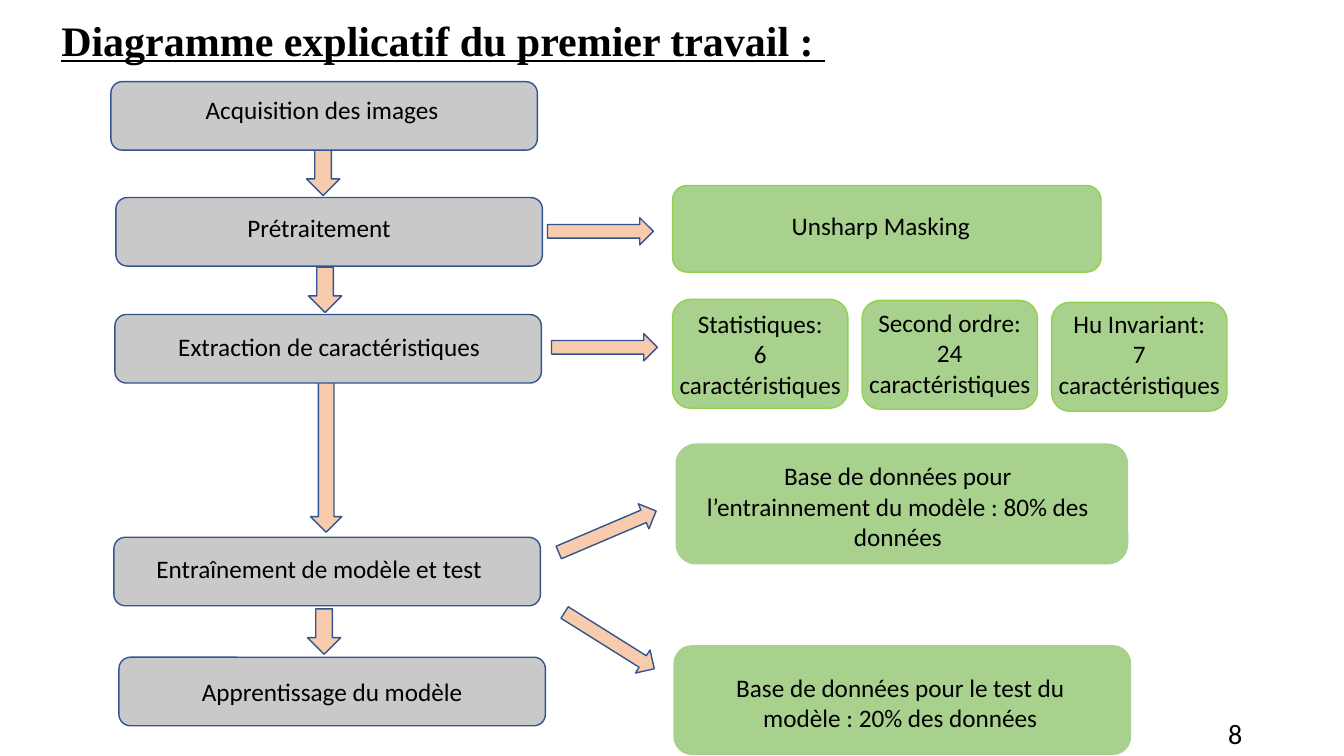
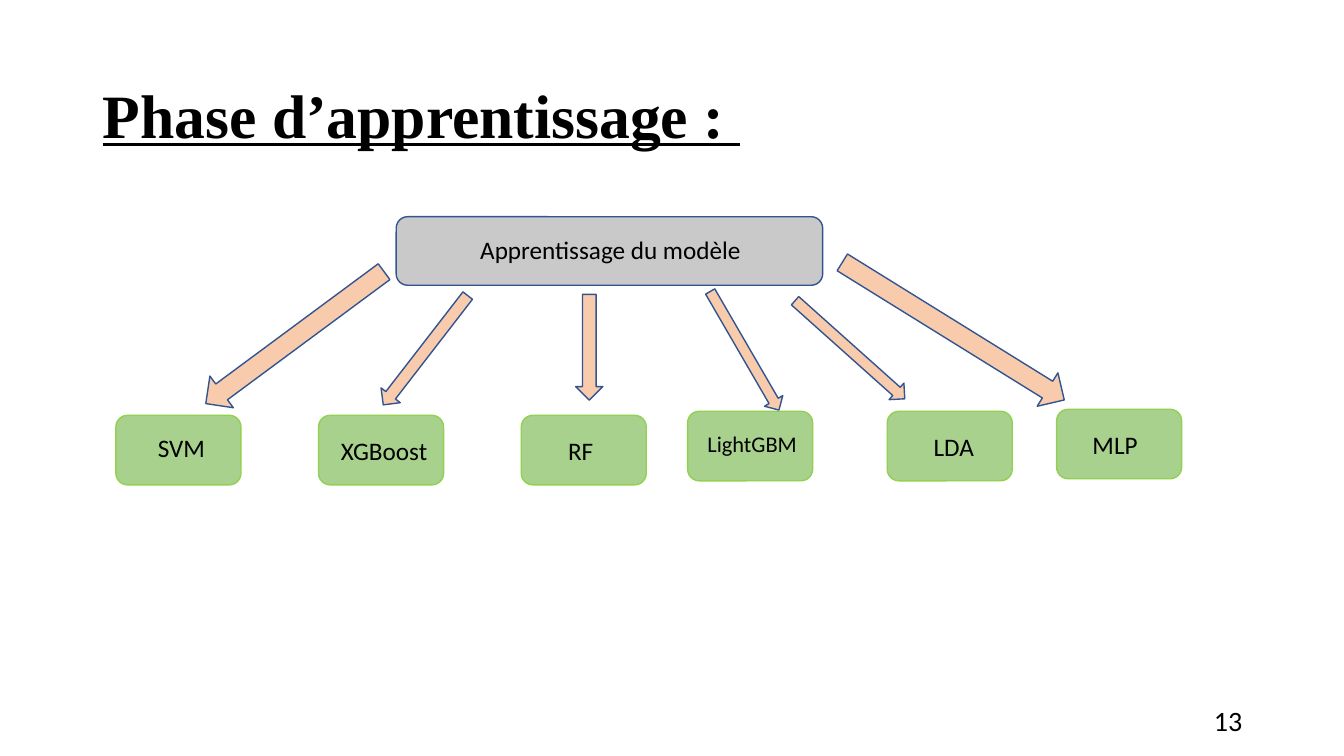
from pptx import Presentation
from pptx.dml.color import RGBColor
from pptx.enum import shapes, text
from pptx.util import Inches, Pt

GREY = RGBColor(0xC9, 0xC9, 0xC9)
GREEN = RGBColor(0xA9, 0xD1, 0x8E)
PEACH = RGBColor(0xF8, 0xCB, 0xAD)
NAVY = RGBColor(0x32, 0x54, 0x91)
LIME = RGBColor(0x92, 0xD0, 0x50)
BLACK = RGBColor(0, 0, 0)
BODY, HEADING = "Calibri", "Times New Roman"
CENTER, RIGHT, LEFT = text.PP_ALIGN.CENTER, text.PP_ALIGN.RIGHT, text.PP_ALIGN.LEFT
MIDDLE, TOP = text.MSO_ANCHOR.MIDDLE, text.MSO_ANCHOR.TOP
ROUNDED, ARROW = shapes.MSO_SHAPE.ROUNDED_RECTANGLE, shapes.MSO_SHAPE.DOWN_ARROW


def add_block(s, kind, at, fill, line, rotation=0):
    """Add a flat preset shape; a line of None leaves it without outline."""
    sp = s.shapes.add_shape(kind, *map(Inches, at))
    sp.shadow.inherit = False
    sp.rotation = rotation
    sp.fill.solid()
    sp.fill.fore_color.rgb = fill
    if line is None:
        sp.line.fill.background()
    else:
        sp.line.color.rgb = line
        sp.line.width = Pt(1)
    return sp


def write(sp, lines, size=18, align=CENTER, anchor=MIDDLE, pad=0, shift=(0, 0), heading=False):
    """Fill a shape with paragraphs; shift moves the text off the shape's centre."""
    dx, dy = shift
    tf = sp.text_frame
    tf.word_wrap = True
    tf.vertical_anchor = anchor
    tf.margin_left = Inches(pad + max(2 * dx, 0))
    tf.margin_right = Inches(pad + max(-2 * dx, 0))
    tf.margin_top = Inches(max(2 * dy, 0))
    tf.margin_bottom = Inches(max(-2 * dy, 0))
    for i, line in enumerate(lines):
        p = tf.add_paragraph() if i else tf.paragraphs[0]
        p.alignment = align
        r = p.add_run()
        r.text = line
        r.font.name = HEADING if heading else BODY
        r.font.size = Pt(size)
        r.font.color.rgb = BLACK
        r.font.bold = r.font.underline = heading


prs = Presentation()
prs.slide_width, prs.slide_height = Inches(13.33), Inches(7.5)
BLANK = prs.slide_layouts[6]
STEP_W, STEP_H = 4.23, 0.68

# Title, its box, size and anchor; page number and its top
pages = [
    ("Diagramme explicatif du premier travail : ", (0.51, 0.14, 12.5, 0.6), 30, TOP, "8", 7.07),
    ("Phase d’apprentissage : ", (0.92, 0.4, 11.5, 1.45), 44, MIDDLE, "13", 6.95),
]
for title, at, size, anchor, number, number_top in pages:
    s = prs.slides.add_slide(BLANK)
    write(s.shapes.add_textbox(*map(Inches, at)), [title], size, LEFT, anchor, 0.1, heading=True)
    sp = s.shapes.add_textbox(Inches(9.42), Inches(number_top), Inches(3), Inches(0.4))
    write(sp, [number], 20, RIGHT, pad=0.1)
workflow, learning = prs.slides

# Workflow: arrows first, so that the boxes cover their ends
for left, top, width, height, rotation in [
    (3.04, 1.49, 0.33, 0.45, 0),
    (3.06, 2.65, 0.33, 0.45, 0),
    (3.08, 3.77, 0.31, 1.51, 0),
    (3.05, 6.04, 0.33, 0.45, 0),
    (5.82, 1.77, 0.27, 1.05, 270),
    (5.86, 2.92, 0.27, 1.05, 270),
    (5.89, 4.75, 0.27, 1.05, 246.9),
    (5.91, 5.83, 0.27, 1.05, 302.1),
]:
    add_block(workflow, ARROW, (left, top, width, height), PEACH, NAVY, rotation)

for label, left, top, shift in [
    ("Acquisition des images", 1.1, 0.81, (-0.02, -0.06)),
    ("Prétraitement", 1.15, 1.96, (-0.1, -0.04)),
    ("Extraction de caractéristiques", 1.14, 3.12, (0.01, -0.02)),
    ("Entraînement de modèle et test", 1.13, 5.33, (-0.08, -0.03)),
    ("Apprentissage du modèle", 1.18, 6.52, (0, 0)),
]:
    sp = add_block(workflow, ROUNDED, (left, top, STEP_W, STEP_H), GREY, NAVY)
    write(sp, [label], shift=shift)

for lines, at, line, pad, shift in [
    (["Unsharp Masking"], (6.67, 1.84, 4.25, 0.86), LIME, 0, (-0.06, -0.03)),
    (["Statistiques:", "6 caractéristiques"], (6.67, 2.97, 1.74, 1.08), LIME, 0, (0, 0)),
    (["Second ordre:", "24 caractéristiques"], (8.55, 2.98, 1.74, 1.08), LIME, 0, (0, -0.02)),
    (["Hu Invariant:", "7 caractéristiques"], (10.43, 3, 1.74, 1.08), LIME, 0, (0, -0.03)),
    (["Base de données pour l’entrainnement du modèle : 80% des données"],
     (6.7, 4.4, 4.49, 1.2), None, 0.2, (-0.04, 0.02)),
    (["Base de données pour le test du modèle : 20% des données"],
     (6.68, 6.4, 4.54, 1.09), None, 0.22, (-0.02, 0.02)),
]:
    write(add_block(workflow, ROUNDED, at, GREEN, line), lines, pad=pad, shift=shift)

# Learning phase: one step feeding six classifiers
sp = add_block(learning, ROUNDED, (3.93, 2.15, STEP_W, STEP_H), GREY, NAVY)
write(sp, ["Apprentissage du modèle"], shift=(0.01, -0.02))

for name, left, top, size, shift, arrow, rotation in [
    ("SVM", 1.15, 4.12, 18, (0.03, -0.03), (2.73, 2.25, 0.39, 2.2), 53.5),
    ("XGBoost", 3.16, 4.12, 18, (0.03, 0), (4.1, 2.79, 0.24, 1.37), 37.7),
    ("RF", 5.17, 4.12, 18, (-0.03, 0), (5.71, 2.92, 0.27, 1.05), 0),
    ("LightGBM", 6.82, 4.08, 16, (0.02, -0.02), (7.28, 2.8, 0.21, 1.36), 329.9),
    ("LDA", 8.8, 4.08, 18, (0.04, 0), (8.32, 2.74, 0.22, 1.46), 311.8),
    ("MLP", 10.48, 4.06, 18, (-0.04, 0), (9.26, 1.99, 0.39, 2.59), 301.8),
]:
    sp = add_block(learning, ROUNDED, (left, top, 1.24, 0.69), GREEN, LIME)
    write(sp, [name], size, shift=shift)
    add_block(learning, ARROW, arrow, PEACH, NAVY, rotation)

prs.save("out.pptx")
